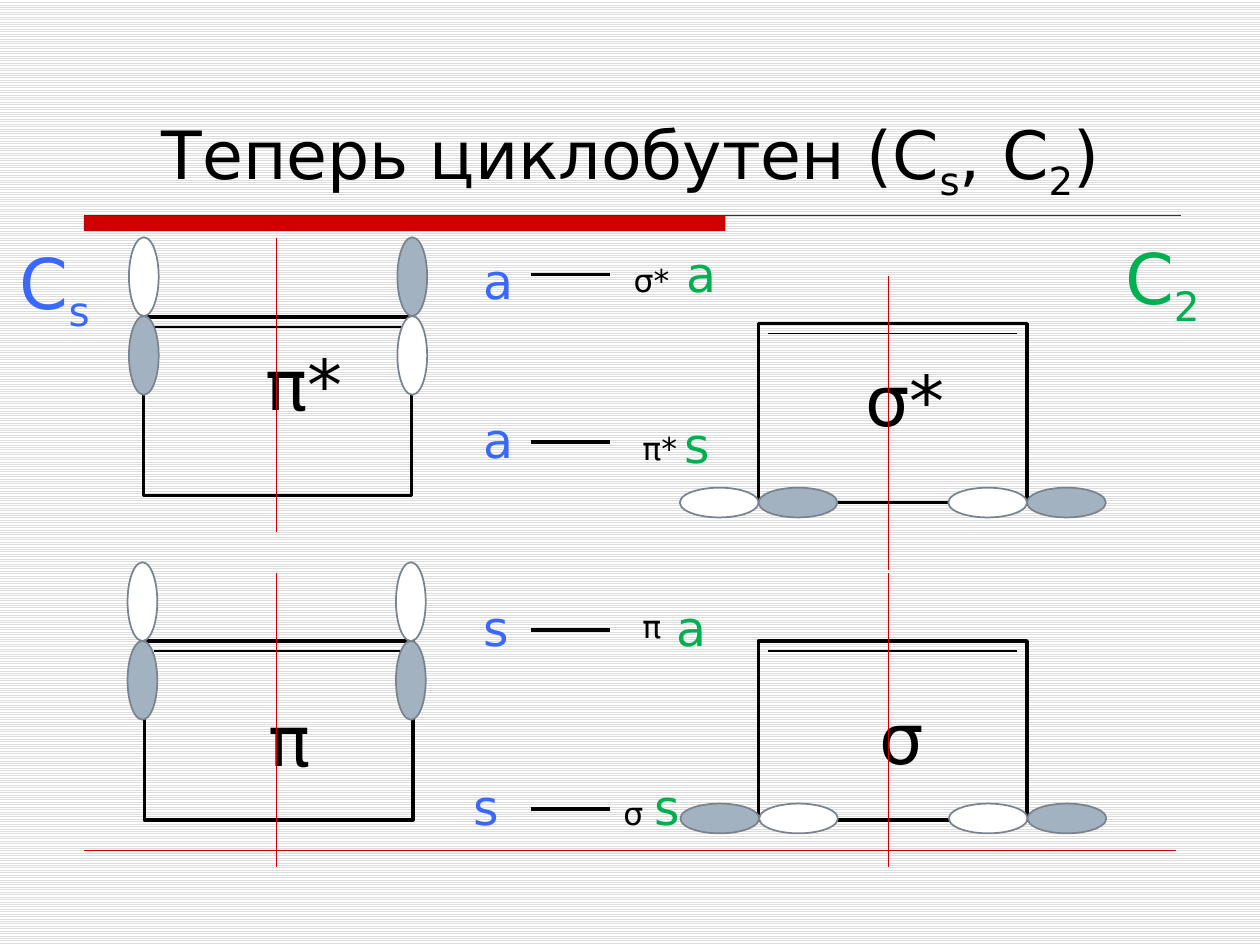
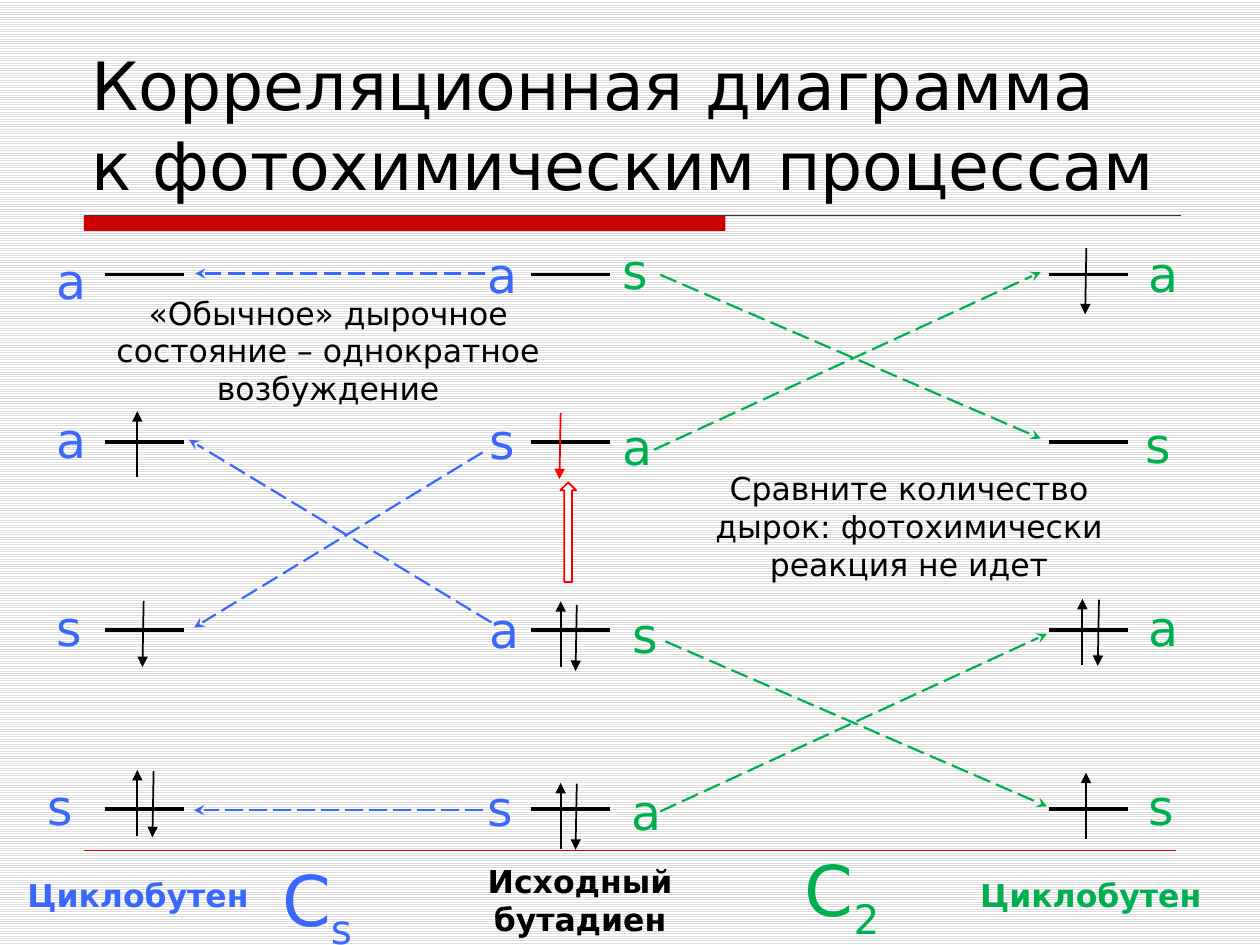
from lxml import etree
from pptx import Presentation
from pptx.dml.color import RGBColor
from pptx.enum.dml import MSO_LINE, MSO_PATTERN
from pptx.enum.shapes import MSO_CONNECTOR, MSO_SHAPE
from pptx.enum.text import MSO_ANCHOR, MSO_AUTO_SIZE, PP_ALIGN
from pptx.oxml.ns import qn
from pptx.util import Pt

STRAIGHT = MSO_CONNECTOR.STRAIGHT
RECTANGLE = MSO_SHAPE.RECTANGLE
OVAL = MSO_SHAPE.OVAL
UP_ARROW = MSO_SHAPE.UP_ARROW
LONG_DASH = MSO_LINE.LONG_DASH
LIGHT_HORIZONTAL = MSO_PATTERN.LIGHT_HORIZONTAL
CENTER, LEFT = PP_ALIGN.CENTER, PP_ALIGN.LEFT
BOTTOM, TOP = MSO_ANCHOR.BOTTOM, MSO_ANCHOR.TOP
GROW, FIXED = MSO_AUTO_SIZE.SHAPE_TO_FIT_TEXT, MSO_AUTO_SIZE.NONE

BLACK = RGBColor(0x00, 0x00, 0x00)
WHITE = RGBColor(0xFF, 0xFF, 0xFF)
STRIPE = RGBColor(0xDD, 0xDD, 0xDD)
RULE = RGBColor(0x33, 0x33, 0x33)
CRIMSON = RGBColor(0xCC, 0x00, 0x00)
RED = RGBColor(0xFF, 0x00, 0x00)
BLUE = RGBColor(0x3A, 0x68, 0xFC)
GREEN = RGBColor(0x00, 0xB0, 0x50)
GRAY = RGBColor(0xA3, 0xB2, 0xC1)
LOBE_EDGE = RGBColor(0x79, 0x84, 0x8F)

FONT = "DejaVu Sans"
BIG, MEDIUM, SMALL = 40, 28, 18
SYMBOL_WIDTH = 45.4
LEVEL_WIDTH = 45.2
LEVEL_TOPS = (157, 252.7, 360, 462.2)
FRAME_WIDTH, FRAME_HEIGHT = 153.4, 102.2
BOND_INSET = 5.6
LOBE_LENGTH, LOBE_THICKNESS = 45, 17
SPIN_LENGTH = 37.8


def add_line(shapes, start, end, color, width, head=None, dash=None):
    connector = shapes.add_connector(STRAIGHT, *[Pt(value) for value in (*start, *end)])
    connector.line.color.rgb = color
    connector.line.width = Pt(width)
    if dash:
        connector.line.dash_style = dash
    if head:
        line = connector.line._get_or_add_ln()
        etree.SubElement(line, qn("a:tailEnd")).set("type", head)
    etree.SubElement(connector._element.spPr, qn("a:effectLst"))
    return connector


def add_figure(shapes, kind, box, fill, line_color, width):
    shape = shapes.add_shape(kind, *[Pt(value) for value in box])
    shape.shadow.inherit = False
    if fill is None:
        shape.fill.background()
    else:
        shape.fill.solid()
        shape.fill.fore_color.rgb = fill
    if line_color is None:
        shape.line.fill.background()
    else:
        shape.line.color.rgb = line_color
        shape.line.width = Pt(width)
    return shape


def add_run(paragraph, text, font_format, color, subscript):
    run = paragraph.add_run()
    run.text = text
    for name, value in font_format.items():
        setattr(run.font, name, value)
    run.font.color.rgb = color
    if subscript:
        run._r.get_or_add_rPr().set("baseline", "-25000")


def add_label(slide, text, left, top, width, size, color=BLACK, lines=1, height=None,
              align=LEFT, anchor=TOP, bold=False, wrap=True):
    box_height = height or size * 1.2 * lines + 7.2
    box = slide.shapes.add_textbox(Pt(left), Pt(top), Pt(width), Pt(box_height))
    frame_format = {
        "word_wrap": wrap,
        "vertical_anchor": anchor,
        "auto_size": FIXED if height else GROW,
    }
    for name, value in frame_format.items():
        setattr(box.text_frame, name, value)
    font_format = {"name": FONT, "size": Pt(size), "bold": bold}
    paragraph = box.text_frame.paragraphs[0]
    paragraph.alignment = align
    for number, line in enumerate(text.split("\n")):
        if number:
            paragraph.add_line_break()
        for index, piece in enumerate(line.split("|")):
            if piece:
                add_run(paragraph, piece, font_format, color, index % 2 == 1)


def add_symbols(slide, color, symbols):
    for text, left, top in symbols:
        add_label(slide, text, left, top, SYMBOL_WIDTH, MEDIUM, color)


def add_levels(slide, left):
    for top in LEVEL_TOPS:
        add_line(slide.shapes, (left, top), (left + LEVEL_WIDTH, top), BLACK, 2)


def add_lobe_pair(shapes, center_x, center_y, vertical, fills):
    for fill, step in zip(fills, (-1, 0)):
        if vertical:
            box = (center_x - LOBE_THICKNESS / 2, center_y + step * LOBE_LENGTH,
                   LOBE_THICKNESS, LOBE_LENGTH)
        else:
            box = (center_x + step * LOBE_LENGTH, center_y - LOBE_THICKNESS / 2,
                   LOBE_LENGTH, LOBE_THICKNESS)
        add_figure(shapes, OVAL, box, fill, LOBE_EDGE, 1)


def add_molecule(slide, left, top, vertical, left_fills, right_fills, shift=(0, 0)):
    shapes = slide.shapes.add_group_shape().shapes
    add_figure(shapes, RECTANGLE, (left, top, FRAME_WIDTH, FRAME_HEIGHT), None, BLACK, 2)
    bond_top = top + BOND_INSET
    add_line(shapes, (left + BOND_INSET, bond_top),
             (left + FRAME_WIDTH - BOND_INSET, bond_top), BLACK, 1)
    center_y = (top if vertical else top + FRAME_HEIGHT) + shift[1]
    for corner, fills in ((left, left_fills), (left + FRAME_WIDTH, right_fills)):
        add_lobe_pair(shapes, corner + shift[0], center_y, vertical, fills)


def add_spin(slide, x, top, up, color=BLACK):
    upper, lower = (x, top), (x if up else x - 0.7, top + SPIN_LENGTH)
    start, end = (lower, upper) if up else (upper, lower)
    add_line(slide.shapes, start, end, color, 1, "triangle")


def add_base_slide(presentation, title, align):
    slide = presentation.slides.add_slide(presentation.slide_layouts[6])
    fill = slide.background.fill
    fill.patterned()
    fill.pattern = LIGHT_HORIZONTAL
    fill.fore_color.rgb = STRIPE
    fill.back_color.rgb = WHITE
    add_figure(slide.shapes, RECTANGLE, (48, 123.1, 366.5, 8.9), CRIMSON, None, 0)
    add_line(slide.shapes, (48, 123.1), (674.8, 123.1), RULE, 0.75)
    add_line(slide.shapes, (48, 486), (672, 486), CRIMSON, 0.25)
    add_label(slide, title, 45.2, 24, 630, 38, height=95.8, align=align, anchor=BOTTOM)
    return slide


def build_orbitals(presentation):
    slide = add_base_slide(presentation, "Теперь циклобутен (С|s|, С|2|)", CENTER)
    white_first, gray_first = (WHITE, GRAY), (GRAY, WHITE)
    add_molecule(slide, 82.6, 366.3, True, white_first, white_first, (-1.2, 0))
    add_molecule(slide, 81.9, 181.1, True, white_first, gray_first, (0.3, -0.5))
    add_molecule(slide, 433.5, 185, False, white_first, white_first)
    add_molecule(slide, 433.5, 366.3, False, gray_first, white_first, (0.3, -0.8))
    for text, left, top, width in (
        ("π", 146.2, 394.6, 54.7), ("π*", 144.7, 190.8, 73.4),
        ("σ", 495.4, 393.1, 54.7), ("σ*", 487.4, 200.2, 82.8),
    ):
        add_label(slide, text, left, top, width, BIG)
    add_levels(slide, 303.2)
    for text, left, top, width in (
        ("σ", 349.2, 450, 28), ("σ*", 355, 145.4, 44.6),
        ("π", 360, 343.4, 28), ("π*", 360, 241.9, 38.9),
    ):
        add_label(slide, text, left, top, width, SMALL)
    for x, top in ((157.9, 136), (157.9, 327.6), (507.6, 327.6), (507.6, 157.7)):
        add_line(slide.shapes, (x, top), (x, top + 167.8), CRIMSON, 0.5)
    add_label(slide, "C|s", 4.3, 133.2, 79.2, BIG, BLUE)
    add_label(slide, "C|2", 635.8, 130.3, 79.2, BIG, GREEN)
    add_symbols(slide, BLUE, (("a", 269.3, 139.7), ("a", 269.3, 230.4),
                              ("s", 269.3, 337.7), ("s", 263.5, 439.9)))
    add_symbols(slide, GREEN, (("a", 385.2, 135.4), ("s", 383.8, 233.3),
                               ("a", 379.4, 337.7), ("s", 367.2, 439.9)))


def build_correlation(presentation):
    title = "Корреляционная диаграмма\nк фотохимическим процессам"
    slide = add_base_slide(presentation, title, LEFT)
    for left in (59.8, 303.2, 599.6):
        add_levels(slide, left)
    add_symbols(slide, BLUE, (
        ("a", 25.2, 139.7), ("a", 25.2, 230.4), ("s", 25.2, 337.7), ("s", 20.2, 439.9),
        ("a", 271.4, 136.1), ("s", 272.9, 231.1), ("a", 272.9, 339.1), ("s", 271.4, 440.6)))
    add_symbols(slide, GREEN, (
        ("s", 348.5, 133.9), ("a", 348.5, 234.7), ("s", 354.2, 342), ("a", 353.8, 442.8),
        ("a", 649.4, 135.4), ("s", 647.3, 233.3), ("a", 649.4, 337.7), ("s", 649.4, 439.9)))
    correlations = (
        (BLUE, (((275.8, 463), (110.9, 463)), ((280.8, 355.7), (108, 251.3)),
                ((275.8, 258.5), (110.9, 358.6)), ((277.2, 156.3), (111.6, 156.3)))),
        (GREEN, (((377.3, 463.7), (598.3, 362.2)), ((373.7, 257), (594.7, 155.5)),
                 ((380.2, 366.5), (598.3, 460.8)), ((377.3, 157), (594.7, 250.6)))),
    )
    for color, arrows in correlations:
        for start, end in arrows:
            add_line(slide.shapes, start, end, color, 1.25, "stealth", LONG_DASH)
    for x, top in ((320.4, 447.4), (320.4, 343.6), (78.5, 440), (78.5, 235),
                   (618.5, 342.2), (620.6, 441.5)):
        add_spin(slide, x, top, True)
    for x, top in ((329.6, 447.8), (329.6, 345.6), (87.8, 440.6), (82.1, 343.4),
                   (628, 342.7), (620.8, 141.8)):
        add_spin(slide, x, top, False)
    add_spin(slide, 320.4, 236, False, RED)
    add_figure(slide.shapes, UP_ARROW, (320.2, 275.6, 9, 57), WHITE, RED, 1)
    add_label(slide, "«Обычное» дырочное состояние – однократное возбуждение",
              56.9, 164.2, 261.4, SMALL, lines=3, align=CENTER)
    add_label(slide, "Сравните количество дырок: фотохимически реакция не идет",
              388.8, 264.6, 261.4, SMALL, lines=3, align=CENTER)
    add_label(slide, "Исходный бутадиен", 263.5, 489, 136, SMALL,
              lines=2, align=CENTER, bold=True)
    add_label(slide, "Циклобутен", 8.6, 497.2, 146.2, SMALL, BLUE, bold=True, wrap=False)
    add_label(slide, "Циклобутен", 553, 496.8, 146.9, SMALL, GREEN, bold=True, wrap=False)
    add_label(slide, "C|s", 154.1, 486, 79.2, BIG, BLUE)
    add_label(slide, "С|2", 452.9, 480.2, 59.8, BIG, GREEN, wrap=False)


def main():
    presentation = Presentation()
    presentation.slide_width = Pt(720)
    presentation.slide_height = Pt(540)
    build_orbitals(presentation)
    build_correlation(presentation)
    presentation.save("out.pptx")


if __name__ == "__main__":
    main()
